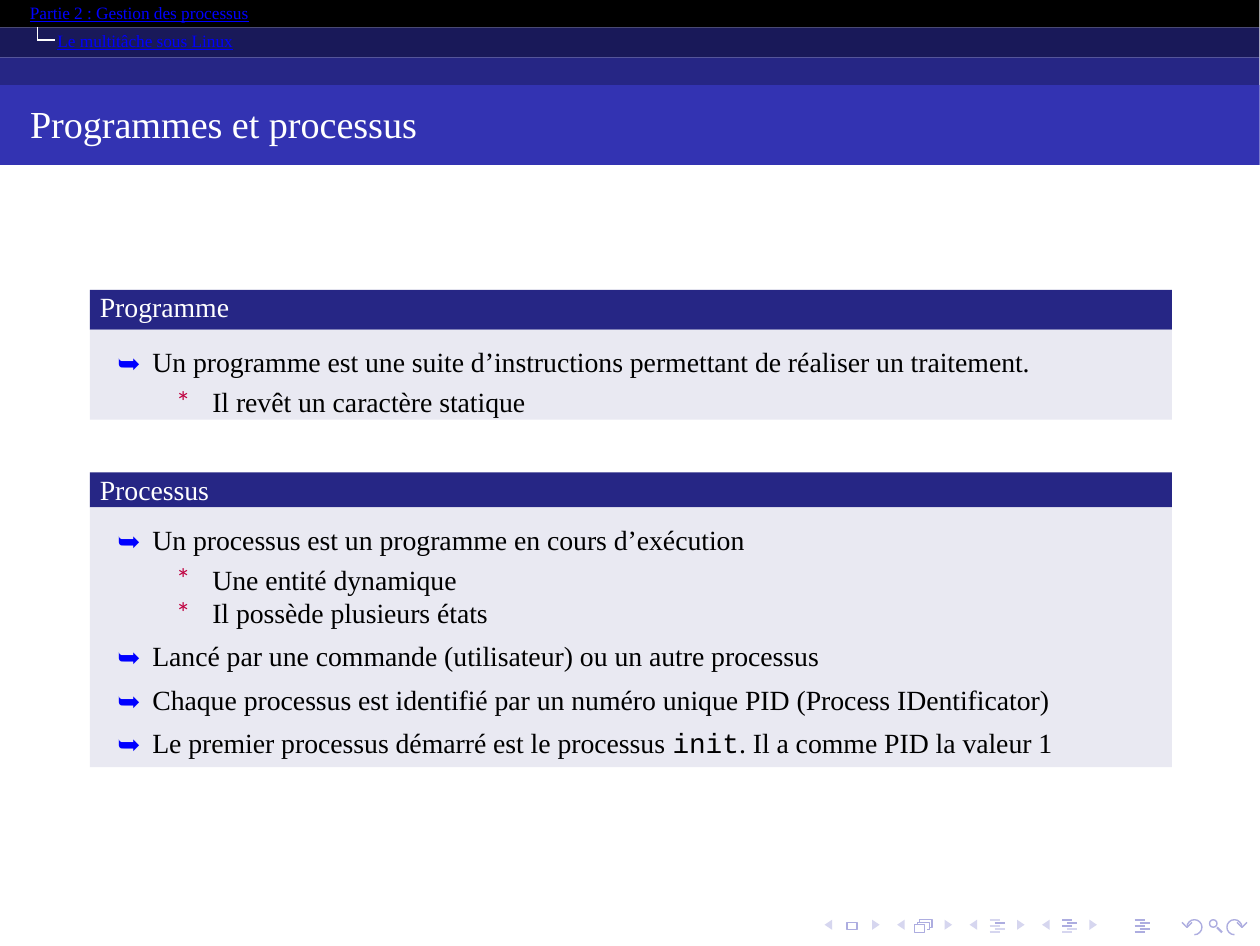
import dataclasses
import math

import pptx
import pptx.dml.color
import pptx.enum.shapes
import pptx.enum.text
import pptx.oxml.ns
import pptx.util
from lxml import etree

Inches = pptx.util.Inches
Pt = pptx.util.Pt
RECTANGLE = pptx.enum.shapes.MSO_SHAPE.RECTANGLE


@dataclasses.dataclass(frozen=True)
class Theme:
    """Colours, fonts and type sizes of the deck."""
    black: str = "000000"
    white: str = "FFFFFF"
    midnight: str = "191959"
    navy: str = "262685"
    indigo: str = "3333B2"
    panel: str = "E9E9F2"
    link: str = "0000FF"
    star: str = "BF003F"
    icon: str = "ADADE0"
    icon_pale: str = "D6D6EF"
    font: str = "Times New Roman"
    code_font: str = "Courier New"
    arrow_font: str = "Noto Sans CJK JP"
    star_font: str = "Lato"
    crumb_size: float = 5
    title_size: float = 11
    body_size: float = 8
    leading: float = 9.6
    tracking: str = "-3"
    thin: float = 0.4
    thick: float = 0.6


THEME = Theme()
LEVELS = (
    dict(char="➥", font=THEME.arrow_font, color=THEME.link, left=0.25, hang=0.14, before=2.9),
    dict(char="*", font=THEME.star_font, color=THEME.star, left=0.49, hang=0.14, before=1.9),
)
BLOCKS = (
    ("Programme", 1.16, 0.16, 0.36, (
        (0, "Un programme est une suite d’instructions permettant de réaliser un traitement."),
        (1, "Il revêt un caractère statique"))),
    ("Processus", 1.89, 0.14, 1.04, (
        (0, "Un processus est un programme en cours d’exécution"),
        (1, "Une entité dynamique"),
        (1, "Il possède plusieurs états"),
        (0, "Lancé par une commande (utilisateur) ou un autre processus"),
        (0, "Chaque processus est identifié par un numéro unique PID (Process IDentificator)"),
        (0, "Le premier processus démarré est le processus `init`. Il a comme PID la valeur 1"))),
)


def rgb(color):
    """Turn a hex string into a colour."""
    return pptx.dml.color.RGBColor.from_string(color)


def paint(shape, color):
    """Fill a shape without outline or shadow."""
    shape.fill.solid()
    shape.fill.fore_color.rgb = rgb(color)
    shape.line.fill.background()
    shape.shadow.inherit = False


def outline(shape, color, width):
    """Draw only the outline of a shape."""
    shape.fill.background()
    shape.line.color.rgb = rgb(color)
    shape.line.width = Pt(width)
    shape.shadow.inherit = False


def band(slide, left, top, width, height, color):
    """Add a plain coloured rectangle."""
    rectangle = slide.shapes.add_shape(
        RECTANGLE, Inches(left), Inches(top), Inches(width), Inches(height))
    paint(rectangle, color)
    return rectangle


def stroke(slide, x1, y1, x2, y2, color, width):
    """Add a straight line."""
    line = slide.shapes.add_connector(
        pptx.enum.shapes.MSO_CONNECTOR.STRAIGHT,
        Inches(x1), Inches(y1), Inches(x2), Inches(y2))
    line.line.color.rgb = rgb(color)
    line.line.width = Pt(width)
    etree.SubElement(line._element.spPr, pptx.oxml.ns.qn("a:effectLst"))


def outline_path(slide, points, close=False):
    """Build a freeform through points given in inches."""
    start, *rest = [(Inches(x), Inches(y)) for x, y in points]
    builder = slide.shapes.build_freeform(*start)
    builder.add_line_segments(rest, close=close)
    return builder.convert_to_shape()


def set_frame(shape, left, top):
    """Set the insets of a text frame and anchor it to the top."""
    frame = shape.text_frame
    frame.margin_left, frame.margin_top = Inches(left), Inches(top)
    frame.margin_right = frame.margin_bottom = 0
    frame.word_wrap = True
    frame.auto_size = pptx.enum.text.MSO_AUTO_SIZE.NONE
    frame.vertical_anchor = pptx.enum.text.MSO_ANCHOR.TOP
    return frame


def style(paragraph, size, color, underline=None):
    """Left-align a paragraph and format its runs."""
    paragraph.alignment = pptx.enum.text.PP_ALIGN.LEFT
    for run in paragraph.runs:
        run.font.name = THEME.font
        run.font.size = Pt(size)
        run.font.color.rgb = rgb(color)
        run.font.underline = underline
        run._r.get_or_add_rPr().set("spc", THEME.tracking)


def label(shape, text, left, top, size, color, underline=None):
    """Write one formatted line into a shape."""
    frame = set_frame(shape, left, top)
    frame.text = text
    style(frame.paragraphs[0], size, color, underline)
    return frame.paragraphs[0]


def add_bullet(paragraph, level):
    """Give a paragraph the hanging bullet of its level."""
    properties = paragraph._p.get_or_add_pPr()
    properties.set("marL", str(Inches(level["left"])))
    properties.set("indent", str(-Inches(level["hang"])))
    qn = pptx.oxml.ns.qn
    bullet_color = etree.SubElement(properties, qn("a:buClr"))
    etree.SubElement(bullet_color, qn("a:srgbClr"), val=level["color"])
    etree.SubElement(properties, qn("a:buFont"), typeface=level["font"])
    etree.SubElement(properties, qn("a:buChar"), char=level["char"])


def header(slide, width):
    """Place the breadcrumb bands and the title bar."""
    part = band(slide, 0, 0, width, 0.11, THEME.black)
    label(part, "Partie 2 : Gestion des processus", 0.12, 0.01,
          THEME.crumb_size, THEME.link, True)
    band(slide, 0, 0.11, width, 0.12, THEME.midnight)
    stroke(slide, 0.15, 0.11, 0.15, 0.16, THEME.white, THEME.thin)
    stroke(slide, 0.15, 0.16, 0.22, 0.16, THEME.white, THEME.thin)
    section = slide.shapes.add_textbox(Inches(0.22), Inches(0.11), Inches(0.8), Inches(0.11))
    label(section, "Le multitâche sous Linux", 0.01, 0.01, THEME.crumb_size, THEME.link, True)
    band(slide, 0, 0.23, width, 0.11, THEME.navy)
    title = slide.shapes.title
    title.left, title.top = 0, Inches(0.34)
    title.width, title.height = Inches(width), Inches(0.32)
    title.fill.solid()
    title.fill.fore_color.rgb = rgb(THEME.indigo)
    label(title, "Programmes et processus", 0.12, 0.06, THEME.title_size, THEME.white)


def block(slide, left, width, heading, top, heading_height, body_height, items):
    """Place a heading bar with its bulleted panel below."""
    bar = band(slide, left, top, width, heading_height, THEME.navy)
    heading_line = label(bar, heading, 0.04, 0, THEME.body_size, THEME.white)
    heading_line.line_spacing = Pt(THEME.leading)
    panel = band(slide, left, top + heading_height, width, body_height, THEME.panel)
    frame = set_frame(panel, 0, 0.06)
    for index, (depth, text) in enumerate(items):
        item = frame.paragraphs[0] if index == 0 else frame.add_paragraph()
        for piece in text.split("`"):
            item.add_run().text = piece
        style(item, THEME.body_size, THEME.black)
        for code in item.runs[1::2]:
            code.font.name = THEME.code_font
        item.line_spacing = Pt(THEME.leading)
        repeated = index > 0 and depth == 1 and items[index - 1][0] == 1
        item.space_before = Pt(0 if index == 0 or repeated else LEVELS[depth]["before"])
        add_bullet(item, LEVELS[depth])


def navigation(slide, left, top):
    """Place the row of navigation symbols."""
    for group in range(4):
        for tip, base in ((0, 0.03), (0.22, 0.19)):
            x = left + group * 0.29
            paint(outline_path(slide, [(x + base, top), (x + tip, top + 0.02),
                                       (x + base, top + 0.04)], close=True), THEME.icon_pale)
    page = [(0.09, 0.01), (0.13, 0.01), (0.13, 0.04), (0.09, 0.04)]
    sheet = [(0.36, 0.02), (0.4, 0.02), (0.4, 0.05), (0.36, 0.05)]
    for corners in (page, sheet):
        outline(outline_path(slide, [(left + x, top + y) for x, y in corners], close=True),
                THEME.icon, THEME.thin)
    for shift in (0.01, 0.02):
        behind = [(0.36, 0.02), (0.36, 0.01), (0.41, 0.01), (0.41, 0.04), (0.4, 0.04)]
        outline(outline_path(slide, [(left + x + shift, top + y + 0.01 - shift)
                                     for x, y in behind]), THEME.icon, THEME.thin)
    for offset, dark_rows in ((0.66, (1,)), (0.95, (0, 1, 2)), (1.24, range(5))):
        for row in range(5):
            x, y = left + offset + row % 2 * 0.02, top + row * 0.05 / 4
            color = THEME.icon if row in dark_rows else THEME.icon_pale
            stroke(slide, x, y, x + 0.04, y, color, THEME.thick)
    lens = slide.shapes.add_shape(pptx.enum.shapes.MSO_SHAPE.OVAL, Inches(left + 1.54),
                                  Inches(top), Inches(0.03), Inches(0.03))
    outline(lens, THEME.icon, THEME.thin)
    stroke(slide, left + 1.57, top + 0.03, left + 1.59, top + 0.05, THEME.icon, THEME.thick)
    angles = [math.radians(180 + 22.5 * step) for step in range(13)]
    arc = [(0.03 * math.cos(angle), 0.03 + 0.03 * math.sin(angle)) for angle in angles]
    arrowhead = [(-0.01, 0.01), (-0.03, 0.03), (-0.05, 0.01)]
    for center, side in ((1.48, 1), (1.64, -1)):
        for points in (arc, arrowhead):
            outline(outline_path(slide, [(left + center + side * x, top + y)
                                         for x, y in points]), THEME.icon, THEME.thin)


def main():
    """Build and save the slide."""
    deck = pptx.Presentation()
    deck.slide_width, deck.slide_height = Pt(363), Pt(272.5)
    slide = deck.slides.add_slide(deck.slide_layouts[5])
    header(slide, 5.04)
    for content in BLOCKS:
        block(slide, 0.36, 4.33, *content)
    navigation(slide, 3.3, 3.68)
    deck.save("out.pptx")


if __name__ == "__main__":
    main()
